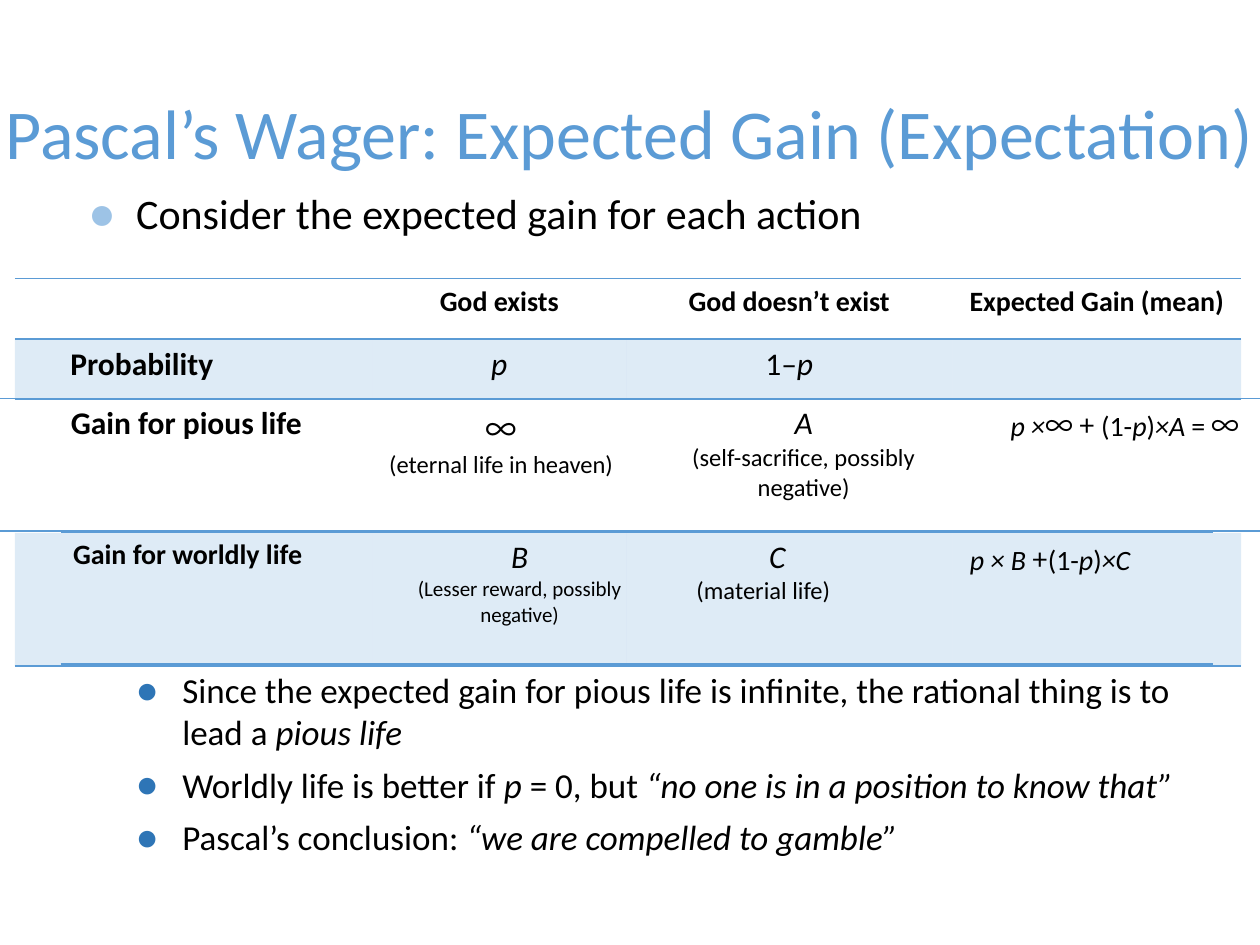
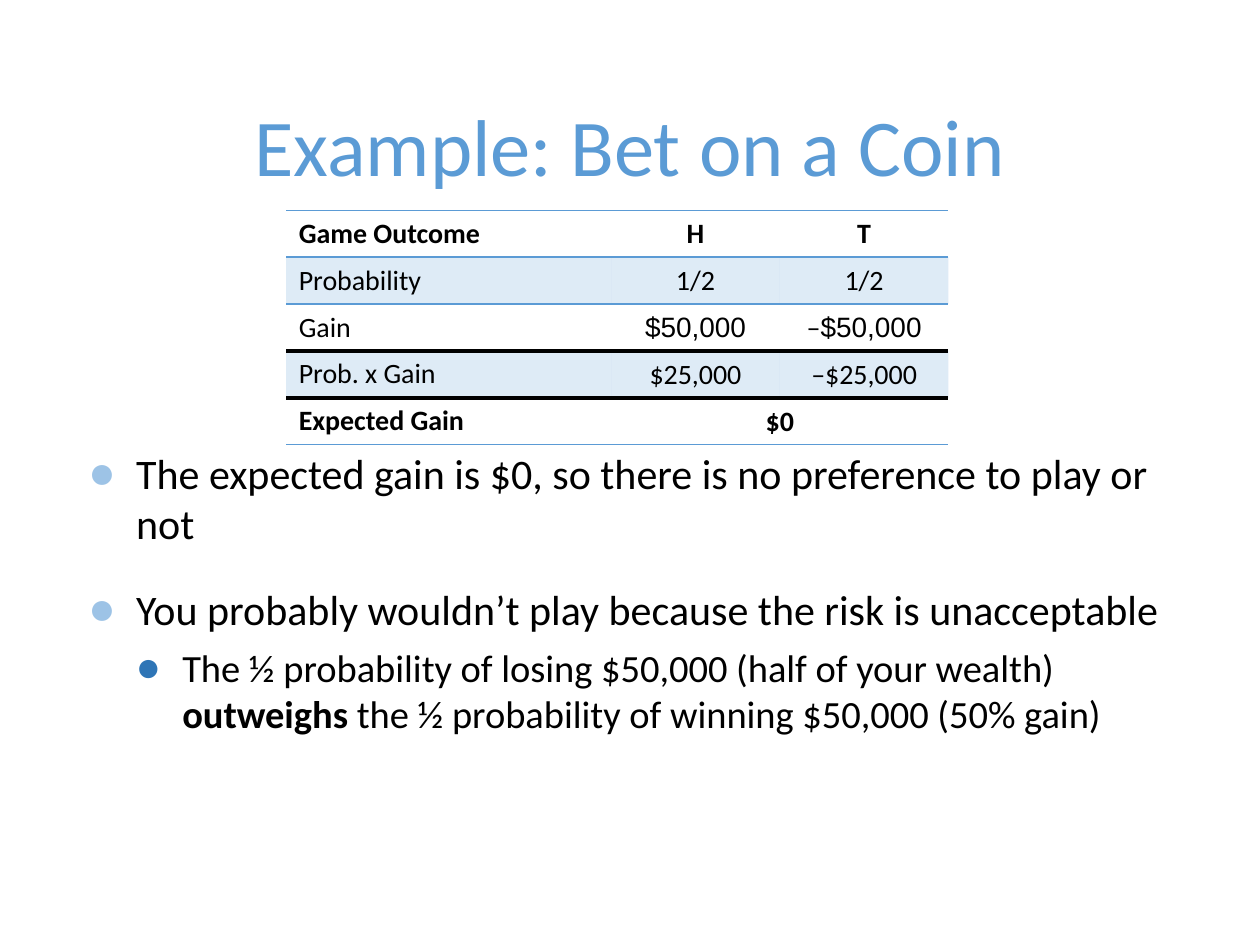
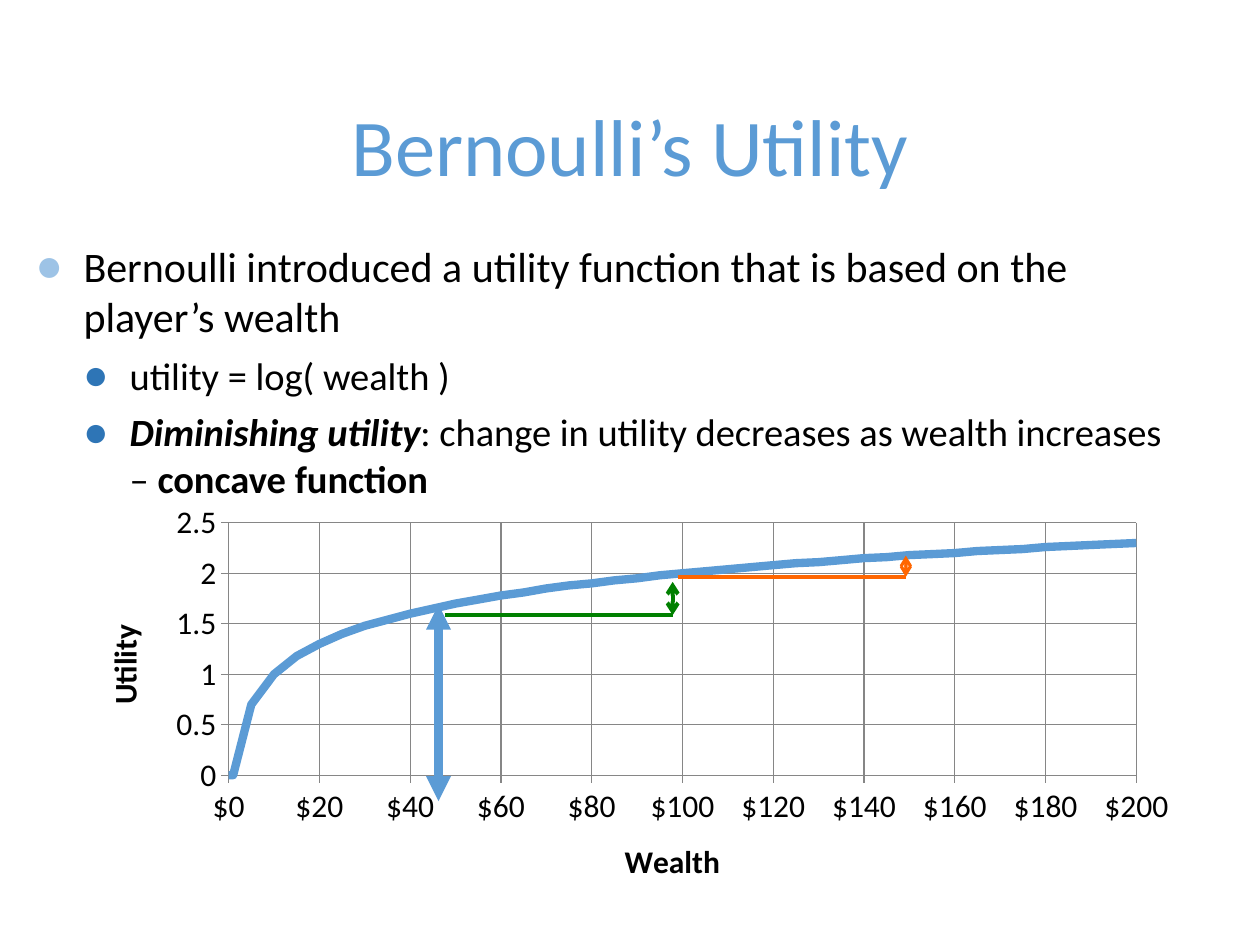
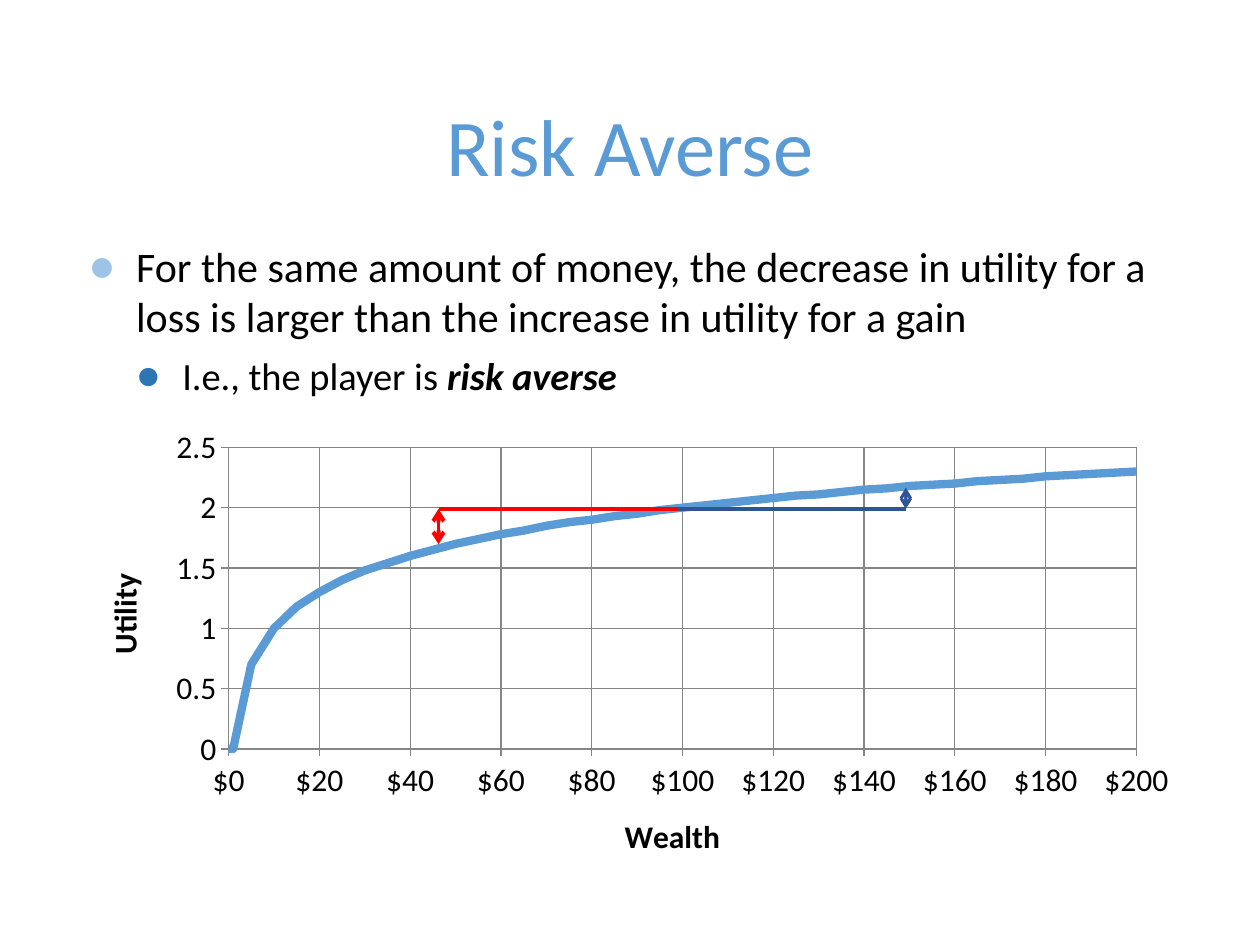
import math

import lxml.etree
import pptx
import pptx.chart.data
import pptx.dml.color
import pptx.enum.chart
import pptx.enum.shapes
import pptx.enum.text
import pptx.oxml.ns
import pptx.util

Cm = pptx.util.Cm
Pt = pptx.util.Pt

BLUE, BLACK, GRID = "5B9BD5", "000000", "868686"
GREEN, ORANGE, RED, NAVY = "008000", "FF6600", "FF0000", "2F5597"
BOLD, ITALIC = {"bold": True}, {"italic": True}
BOLD_ITALIC = BOLD | ITALIC
SYMBOL = {"name": "Noto Sans CJK JP"}
BULLETS = [
    {"colour": "9DC3E6", "left": 0.97, "hanging": 0.97, "before": 20},
    {"colour": "2E75B6", "left": 1.9, "hanging": 0.94, "before": 6},
]
NO_STYLE = "{2D5ABB26-0587-4C30-8999-92F81FD0307C}"
WEALTH = [0, 1, *range(5, 201, 5)]


def rgb(value):
    return pptx.dml.color.RGBColor.from_string(value)


def add_element(parent, tag, **attributes):
    element = lxml.etree.SubElement(parent, pptx.oxml.ns.qn(tag))
    for name, value in attributes.items():
        element.set(name, str(value))
    return element


def box(*lengths):
    return [Cm(length) for length in lengths]


class Deck:
    """Build slides that share one style, one method for each kind of element."""

    def __init__(self):
        self.presentation = pptx.Presentation()
        self.presentation.slide_width = Cm(25.4)
        self.presentation.slide_height = Cm(19.05)
        self.slide = None

    def add_runs(self, paragraph, runs, **style):
        for item in [runs] if isinstance(runs, str) else runs:
            text, extra = (item, {}) if isinstance(item, str) else item
            run = paragraph.add_run()
            run.text = text
            self.format_font(run.font, **(style | extra))

    def format_font(self, font, size, colour=BLACK, **style):
        font.color.rgb = rgb(colour)
        for name, value in ({"name": "Calibri", "size": Pt(size)} | style).items():
            setattr(font, name, value)

    def format_line(self, line, colour, width):
        line.color.rgb = rgb(colour)
        line.width = Pt(width)

    def place(self, placeholder, position, anchor):
        values = dict(zip(("left", "top", "width", "height"), box(*position)))
        for name, value in values.items():
            setattr(placeholder, name, value)
        frame = placeholder.text_frame
        settings = {
            "word_wrap": True,
            "auto_size": pptx.enum.text.MSO_AUTO_SIZE.NONE,
            "vertical_anchor": anchor,
        }
        for name, value in settings.items():
            setattr(frame, name, value)
        return frame

    def start(self, title, position=(1.52, 0.3, 22.35, 3.71), size=46):
        layout = self.presentation.slide_layouts[1]
        self.slide = self.presentation.slides.add_slide(layout)
        anchor = pptx.enum.text.MSO_ANCHOR.BOTTOM
        paragraph = self.place(self.slide.shapes.title, position, anchor).paragraphs[0]
        paragraph.alignment = pptx.enum.text.PP_ALIGN.CENTER
        self.add_runs(paragraph, title, size=size, colour=BLUE)

    def bullets(self, position, items, sizes=(24, 22), gaps={}):
        frame = self.place(
            self.slide.placeholders[1], position, pptx.enum.text.MSO_ANCHOR.TOP
        )
        for index, (level, runs) in enumerate(items):
            paragraph = frame.add_paragraph() if index else frame.paragraphs[0]
            bullet = BULLETS[level]
            paragraph.level = level
            paragraph.space_before = Pt(gaps.get(index, bullet["before"]) if index else 0)
            properties = paragraph._p.get_or_add_pPr()
            properties.set("marL", str(Cm(bullet["left"])))
            properties.set("indent", str(-Cm(bullet["hanging"])))
            colour = add_element(properties, "a:buClr")
            add_element(colour, "a:srgbClr", val=bullet["colour"])
            add_element(properties, "a:buSzPct", val=110000)
            add_element(properties, "a:buChar", char="●")
            self.add_runs(paragraph, runs, size=sizes[level])

    def border(self, cell, side, colour, width):
        line = add_element(cell._tc.get_or_add_tcPr(), side, w=Pt(width))
        add_element(add_element(line, "a:solidFill"), "a:srgbClr", val=colour)

    def shade(self, cell, shaded):
        if not shaded:
            cell.fill.background()
            return
        cell.fill.solid()
        cell.fill.fore_color.rgb = rgb(BLUE)
        colour = cell._tc.tcPr.find(pptx.oxml.ns.qn("a:solidFill"))[0]
        add_element(colour, "a:alpha", val=20000)

    def table(self, left, top, columns, rows, cells, rules, shaded=()):
        position = box(left, top, sum(columns), sum(rows))
        frame = self.slide.shapes.add_table(len(rows), len(columns), *position)
        table = frame.table
        table.first_row = table.horz_banding = False
        table._tbl.tblPr[0].text = NO_STYLE
        for column, width in zip(table.columns, columns):
            column.width = Cm(width)
        for index, height in enumerate(rows):
            table.rows[index].height = Cm(height)
            for column in range(len(columns)):
                cell = table.cell(index, column)
                for side, edge in (("a:lnT", index), ("a:lnB", index + 1)):
                    if edge in rules:
                        self.border(cell, side, *rules[edge])
                self.shade(cell, index in shaded)
        for index, contents in enumerate(cells):
            for column, paragraphs in enumerate(contents):
                self.fill_cell(table.cell(index, column), paragraphs, column > 0)
        return table

    def fill_cell(self, cell, paragraphs, centred):
        for index, (size, runs) in enumerate(paragraphs):
            frame = cell.text_frame
            paragraph = frame.add_paragraph() if index else frame.paragraphs[0]
            if centred:
                paragraph.alignment = pptx.enum.text.PP_ALIGN.CENTER
            self.add_runs(paragraph, runs, size=size)

    def utility_chart(self, top, height):
        data = pptx.chart.data.XyChartData()
        series = data.add_series("Series 1")
        for wealth in WEALTH:
            series.add_data_point(wealth, round(math.log10(max(wealth, 1)), 2))
        width = 22.48
        kind = pptx.enum.chart.XL_CHART_TYPE.XY_SCATTER_SMOOTH_NO_MARKERS
        chart = self.slide.shapes.add_chart(kind, *box(1.52, top, width, height), data).chart
        chart.has_legend = chart.has_title = False
        self.format_font(chart.font, 18)
        plot = chart.plots[0]
        plot.vary_by_categories = False
        plot.series[0].smooth = True
        self.format_line(plot.series[0].format.line, BLUE, 4.75)
        self.axis(chart.category_axis, "Wealth", 200, 20, '"$"#,##0')
        self.axis(chart.value_axis, "Utility", 2.5, 0.5, "General")
        body = chart.value_axis.axis_title.text_frame._txBody.bodyPr
        body.set("rot", "-5400000")
        body.set("vert", "horz")
        area = chart._chartSpace.chart.plotArea
        for layout in area.findall(pptx.oxml.ns.qn("c:layout")):
            area.remove(layout)
        layout = add_element(area, "c:layout")
        area.insert(0, layout)
        manual = add_element(layout, "c:manualLayout")
        fractions = {
            "c:x": 3.09 / width,
            "c:y": 0.56 / height,
            "c:w": 18.3 / width,
            "c:h": (height - 3.32) / height,
        }
        settings = {"c:layoutTarget": "inner", "c:xMode": "edge", "c:yMode": "edge"}
        for tag, value in (settings | fractions).items():
            add_element(manual, tag, val=value)

    def axis(self, axis, title, maximum, unit, number_format):
        settings = {
            "minimum_scale": 0,
            "maximum_scale": maximum,
            "major_unit": unit,
            "has_major_gridlines": True,
            "major_tick_mark": pptx.enum.chart.XL_TICK_MARK.OUTSIDE,
        }
        for name, value in settings.items():
            setattr(axis, name, value)
        axis.tick_labels.number_format = number_format
        axis.tick_labels.number_format_is_linked = False
        self.format_font(axis.tick_labels.font, 18)
        for line in (axis.format.line, axis.major_gridlines.format.line):
            self.format_line(line, GRID, 0.75)
        paragraph = axis.axis_title.text_frame.paragraphs[0]
        self.add_runs(paragraph, title, size=18, bold=True)

    def line(self, start, end, colour, width=2.25, arrows=None):
        straight = pptx.enum.shapes.MSO_CONNECTOR.STRAIGHT
        connector = self.slide.shapes.add_connector(straight, *box(*start, *end))
        self.format_line(connector.line, colour, width)
        if arrows:
            outline = connector.line._get_or_add_ln()
            for tag in ("a:headEnd", "a:tailEnd"):
                add_element(outline, tag, type=arrows)
        add_element(connector._element.spPr, "a:effectLst")

    def step(self, start, corner, end, colour, width):
        self.line(start, corner, colour)
        self.line(end, corner, colour, width, "arrow")


def pascal_slide(deck):
    deck.start("Pascal’s Wager: Expected Gain (Expectation)", (-0.23, 0.89, 25.83, 2.74), 40)
    deck.bullets(
        (1.52, 3.66, 23.52, 12.98),
        [
            (0, "Consider the expected gain for each action"),
            (1, ["Since the expected gain for pious life is infinite, the rational "
                 "thing is to lead a ", ("pious life", ITALIC)]),
            (1, ["Worldly life is better if ", ("p ", ITALIC), "= 0, but ",
                 ("“no one is in a position to know that”", ITALIC)]),
            (1, ["Pascal’s conclusion: ", ("“we are compelled to gamble”", ITALIC)]),
        ],
        sizes=(24, 20),
        gaps={1: 246},
    )
    thin = (BLUE, 1)
    headings = ["God exists", "God doesn’t exist", "Expected Gain (mean)"]
    gains = deck.table(
        0.3, 5.61, [7.21, 5.11, 6.58, 5.82], [1.22, 1.22, 2.69, 2.69],
        [
            [[]] + [[(16, [(heading, BOLD)])] for heading in headings],
            [
                [(18, [("Probability", BOLD)])],
                [(18, [("p", ITALIC)])],
                [(18, ["1–", ("p", ITALIC)])],
            ],
        ],
        rules={0: thin, 1: thin, 4: thin}, shaded=(1, 3),
    )
    gains.cell(1, 0).margin_left = Cm(1.12)
    pious = deck.table(
        -0.1, 8.03, [7.54, 5.33, 6.86, 6.1], [2.67],
        [[
            [(18, [("Gain for pious life", BOLD)])],
            [(18, [("∞", SYMBOL)]), (14, "(eternal life in heaven)")],
            [(18, [("A", ITALIC)]), (14, "(self-sacrifice, possibly negative)")],
            [(16, [("p ×", ITALIC), ("∞ +", SYMBOL), " (1-", ("p", ITALIC), ")",
                   ("×A", ITALIC), " = ", ("∞", SYMBOL)])],
        ]],
        rules={0: thin, 1: thin},
    )
    pious.cell(0, 0).margin_left = Cm(1.53)
    worldly = deck.table(
        1.22, 10.72, [6.83, 4.85, 4.98, 6.58], [2.67],
        [[
            [(16, [("Gain for worldly life", BOLD)])],
            [(18, [("B", ITALIC)]), (12, "(Lesser reward, possibly negative)")],
            [(18, [("C", ITALIC)]), (14, "(material life)")],
            [(16, [("p × B", ITALIC), (" +", SYMBOL), "(1-", ("p", ITALIC), ")",
                   ("×C", ITALIC)])],
        ]],
        rules={0: thin, 1: thin},
    )
    letter = worldly.cell(0, 2).text_frame.paragraphs[0]
    letter._p.get_or_add_pPr().set("marL", str(Cm(0.56)))


def coin_slide(deck):
    deck.start("Example: Bet on a Coin")
    deck.bullets(
        (1.52, 8.89, 22.35, 7.62),
        [
            (0, "The expected gain is $0, so there is no preference to play or not"),
            (0, "You probably wouldn’t play because the risk is unacceptable"),
            (1, ["The ½ probability of losing $50,000 (half of your wealth) ",
                 ("outweighs", BOLD),
                 " the ½ probability of winning $50,000 (50% gain)"]),
        ],
    )
    arial = {"name": "Arial"}
    contents = [
        [[(text, BOLD)] for text in ("Game Outcome", "H", "T")],
        ["Probability", "1/2", "1/2"],
        ["Gain", [("$50,000", arial)], ["–", ("$50,000", arial)]],
        ["Prob. x Gain", "$25,000", "–$25,000"],
        [[(text, BOLD)] for text in ("Expected Gain", "$0")],
    ]
    thin, thick = (BLUE, 1), (BLACK, 2.25)
    table = deck.table(
        5.77, 4.24, [6.55, 3.4, 3.4], [0.94] * 5,
        [[[(16, runs)] for runs in row] for row in contents],
        rules={0: thin, 1: thin, 3: thick, 4: thick, 5: thin}, shaded=(1, 3),
    )
    table.cell(4, 1).merge(table.cell(4, 2))
    amount = {
        "vertical_anchor": pptx.enum.text.MSO_ANCHOR.MIDDLE,
        "margin_left": Cm(0.03),
        "margin_top": Cm(0.03),
        "margin_right": Cm(0.03),
        "margin_bottom": 0,
    }
    for row in (2, 3, 4):
        for column in (1, 2):
            for name, value in amount.items():
                setattr(table.cell(row, column), name, value)


def utility_slide(deck):
    deck.start("Bernoulli’s Utility")
    deck.bullets(
        (0.46, 4.72, 23.42, 11.79),
        [
            (0, "Bernoulli introduced a utility function that is based on the "
                "player’s wealth"),
            (1, "utility = log( wealth )"),
            (1, [("Diminishing utility", BOLD_ITALIC),
                 ": change in utility decreases as wealth increases – ",
                 ("concave function", BOLD)]),
        ],
    )
    deck.utility_chart(9.98, 8.41)
    deck.step((8.97, 12.4), (13.56, 12.4), (13.56, 11.73), GREEN, 2.25)
    deck.step((13.67, 11.63), (18.26, 11.63), (18.26, 11.2), ORANGE, 1.75)
    deck.line((8.84, 16.15), (8.84, 12.19), BLUE, 4.75, "triangle")


def risk_slide(deck):
    deck.start("Risk Averse")
    deck.bullets(
        (1.52, 4.72, 22.35, 11.79),
        [
            (0, "For the same amount of money, the decrease in utility for a loss "
                "is larger than the increase in utility for a gain"),
            (1, ["I.e., the player is ", ("risk averse", BOLD_ITALIC)]),
        ],
    )
    deck.utility_chart(8.46, 9.4)
    deck.step((13.67, 10.26), (8.84, 10.26), (8.84, 10.97), RED, 2.25)
    deck.step((13.67, 10.26), (18.26, 10.26), (18.26, 9.83), NAVY, 1.75)


def main():
    deck = Deck()
    for build in (pascal_slide, coin_slide, utility_slide, risk_slide):
        build(deck)
    deck.presentation.save("out.pptx")


if __name__ == "__main__":
    main()
